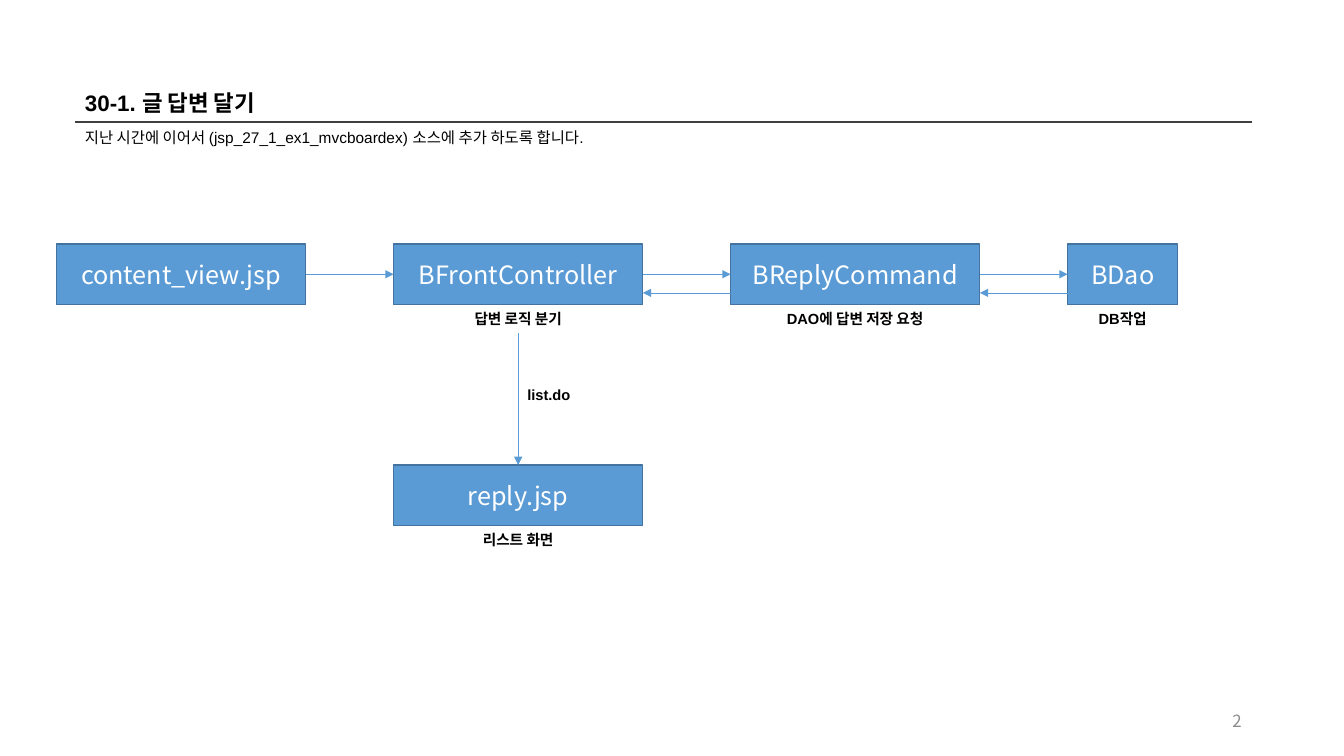
from lxml import etree
from pptx import Presentation
from pptx.dml.color import RGBColor
from pptx.enum.shapes import MSO_CONNECTOR, MSO_SHAPE
from pptx.enum.text import MSO_ANCHOR, MSO_AUTO_SIZE, PP_ALIGN
from pptx.oxml.ns import qn
from pptx.util import Pt

LEFT, CENTER, RIGHT = PP_ALIGN.LEFT, PP_ALIGN.CENTER, PP_ALIGN.RIGHT
TOP, MIDDLE = MSO_ANCHOR.TOP, MSO_ANCHOR.MIDDLE
RECT, STRAIGHT = MSO_SHAPE.RECTANGLE, MSO_CONNECTOR.STRAIGHT
NO_AUTOFIT = MSO_AUTO_SIZE.NONE
SANS, KOREAN = "Arial", "Noto Sans CJK KR"
COLORS = {"text": "000000", "rule": "404040", "box": "5B9BD5",
          "border": "43739E", "white": "FFFFFF", "number": "8C8C8C"}


def rgb(name):
    return RGBColor.from_string(COLORS[name])


def write(sp, text, size, color="text", font=SANS, bold=False, align=LEFT, anchor=TOP):
    tf = sp.text_frame
    tf.word_wrap = True
    tf.auto_size = NO_AUTOFIT
    tf.vertical_anchor = anchor
    tf.margin_left = tf.margin_right = Pt(7.2)
    tf.margin_top = tf.margin_bottom = Pt(3.6)
    p = tf.paragraphs[0]
    p.alignment = align
    r = p.add_run()
    r.text = text
    r.font.size = Pt(size)
    r.font.bold = bold
    r.font.name = font
    r.font.color.rgb = rgb(color)
    etree.SubElement(r._r.get_or_add_rPr(), qn("a:ea"), typeface=KOREAN)


prs = Presentation()
prs.slide_width, prs.slide_height = Pt(960), Pt(540)
s = prs.slides.add_slide(prs.slide_layouts[5])

# Title
title = s.shapes.title
title.left, title.top, title.width, title.height = Pt(53.5), Pt(60), Pt(841), Pt(26.6)
write(title, "30-1. 글 답변 달기", 16, bold=True)

# Introduction and slide number
intro = s.shapes.add_textbox(Pt(53.5), Pt(88), Pt(841), Pt(20.6))
write(intro, "지난 시간에 이어서 (jsp_27_1_ex1_mvcboardex) 소스에 추가 하도록 합니다.", 11)
number = s.shapes.add_textbox(Pt(678), Pt(500.5), Pt(216), Pt(28.75))
write(number, "2", 12, "number", KOREAN, align=RIGHT, anchor=MIDDLE)

# Flow boxes with captions: four in a row, one below the controller
X0, PITCH, ROW, LOWER = 40.4, 240.75, 174.2, 332.2
WIDE, NARROW, HIGH = 178, 78.5, 43.4
boxes, captions = {}, {}
for name, col, y, w, caption in [
    ("content_view.jsp", 0, ROW, WIDE, None),
    ("BFrontController", 1, ROW, WIDE, "답변 로직 분기"),
    ("BReplyCommand", 2, ROW, WIDE, "DAO에 답변 저장 요청"),
    ("BDao", 3, ROW, NARROW, "DB작업"),
    ("reply.jsp", 1, LOWER, WIDE, "리스트 화면"),
]:
    x = X0 + col * PITCH
    sp = s.shapes.add_shape(RECT, Pt(x), Pt(y), Pt(w), Pt(HIGH))
    sp.shadow.inherit = False
    sp.fill.solid()
    sp.fill.fore_color.rgb = rgb("box")
    sp.line.color.rgb = rgb("border")
    sp.line.width = Pt(1)
    write(sp, name, 18, "white", KOREAN, align=CENTER, anchor=MIDDLE)
    boxes[name] = sp
    if caption:
        tb = s.shapes.add_textbox(Pt(x), Pt(y + HIGH), Pt(w), Pt(20.6))
        write(tb, caption, 10.5, bold=True, align=CENTER)
        captions[name] = tb

label = s.shapes.add_textbox(Pt(362.3), Pt(272.3), Pt(59.5), Pt(20.2))
write(label, "list.do", 10.5, bold=True, align=CENTER)

# Title rule, then return arrows and joined arrows
rule = s.shapes.add_connector(STRAIGHT, Pt(53.5), Pt(87.3), Pt(894.5), Pt(87.3))
arrows = []
for col in (2, 3):
    x = X0 + col * PITCH
    arrows.append(s.shapes.add_connector(
        STRAIGHT, Pt(x), Pt(209.2), Pt(x - PITCH + WIDE), Pt(209.2)))

row = list(boxes.values())[:4]
joins = [(a, 3, b, 1) for a, b in zip(row, row[1:])]
joins.append((captions["BFrontController"], 2, boxes["reply.jsp"], 0))
for start, start_side, end, end_side in joins:
    c = s.shapes.add_connector(STRAIGHT, 0, 0, 0, 0)
    c.begin_connect(start, start_side)
    c.end_connect(end, end_side)
    arrows.append(c)

for c in [rule] + arrows:
    c.line.color.rgb = rgb("rule" if c is rule else "box")
    c.line.width = Pt(1 if c is rule else 0.5)
    if c is not rule:
        etree.SubElement(c.line._get_or_add_ln(), qn("a:tailEnd"), type="triangle")
    etree.SubElement(c._element.spPr, qn("a:effectLst"))

prs.save("out.pptx")
